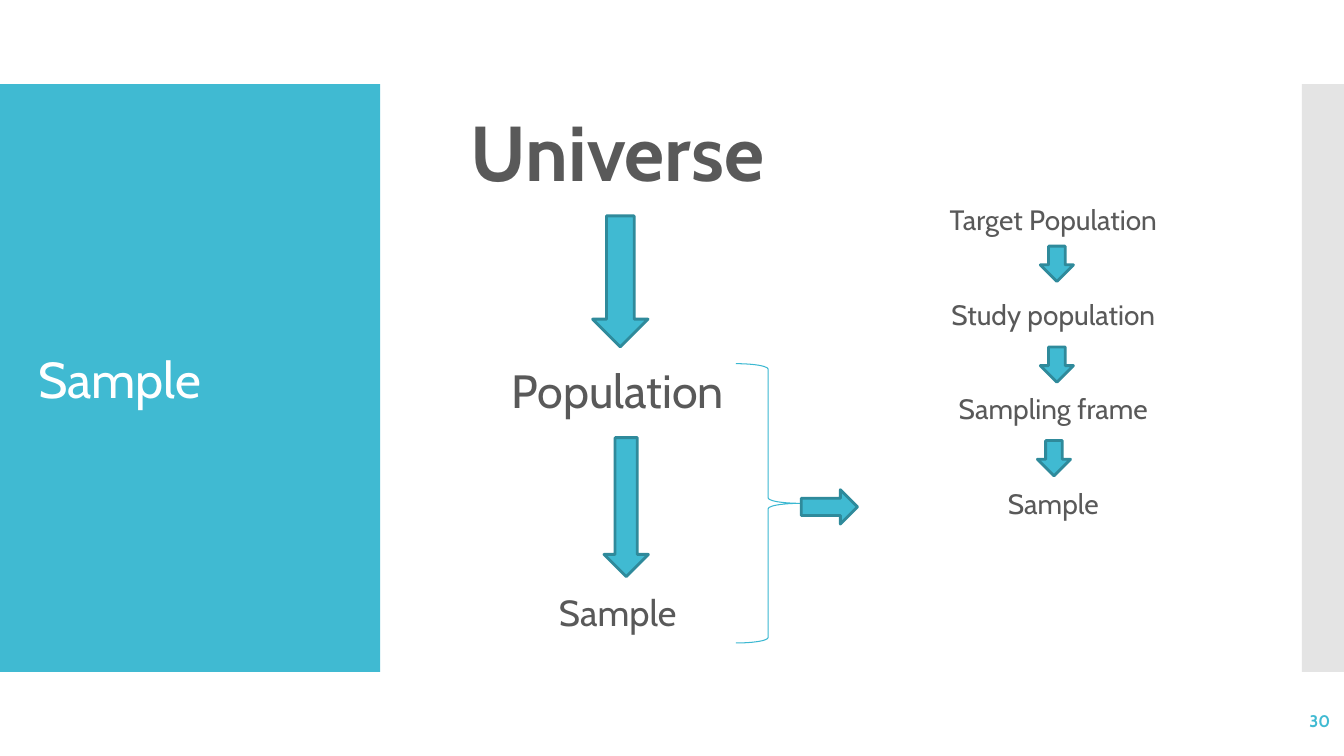
from pptx import Presentation
from pptx.dml.color import RGBColor
from pptx.enum.shapes import MSO_SHAPE as Preset
from pptx.enum.text import MSO_ANCHOR as Anchor, PP_ALIGN as Align
from pptx.oxml.ns import qn
from pptx.util import Inches, Pt
from lxml.etree import SubElement

UNIT = 7.5 / 18  # square grid: 32 columns by 18 rows
TEAL, DARK_TEAL, BRACE_TEAL = "40BAD2", "2F8A9B", "3BB8D1"
GREY, PALE, WHITE = "595959", "C8C8C8", "FFFFFF"


def rgb(code):
    return RGBColor.from_string(code)


class FlowSlide:
    font_name = "Cabin"

    def __init__(self, deck):
        self.slide = deck.slides.add_slide(deck.slide_layouts[6])

    def grid(self, *cells):
        return [Inches(cell * UNIT) for cell in cells]

    def shape(self, preset, box, fill=None, line=None, width=2, opacity=None):
        shape = self.slide.shapes.add_shape(preset, *self.grid(*box))
        shape.shadow.inherit = False
        if fill:
            shape.fill.solid()
            shape.fill.fore_color.rgb = rgb(fill)
        else:
            shape.fill.background()
        if opacity:
            color = shape.fill._xPr.find(".//" + qn("a:srgbClr"))
            SubElement(color, qn("a:alpha"), val=str(opacity * 1000))
        if line:
            shape.line.color.rgb = rgb(line)
            shape.line.width = Pt(width)
        else:
            shape.line.fill.background()

    def arrow(self, preset, *box):
        self.shape(preset, box, TEAL, DARK_TEAL)

    def text(self, words, left, middle, width, height, size,
             color=GREY, align=Align.CENTER, bold=False):
        box = self.slide.shapes.add_textbox(
            *self.grid(left, middle - height / 2, width, height))
        frame = box.text_frame
        frame.word_wrap = True
        frame.vertical_anchor = Anchor.MIDDLE
        paragraph = frame.paragraphs[0]
        paragraph.alignment = align
        run = paragraph.add_run()
        run.text = words
        style = {"name": self.font_name, "size": Pt(size), "bold": bold}
        for key, value in style.items():
            setattr(run.font, key, value)
        run.font.color.rgb = rgb(color)


def main():
    deck = Presentation()
    deck.slide_width, deck.slide_height = Inches(32 * UNIT), Inches(18 * UNIT)
    page = FlowSlide(deck)

    # Side panels, title and page number
    page.shape(Preset.RECTANGLE, (0, 2, 9.05, 14), TEAL)
    page.shape(Preset.RECTANGLE, (31, 2, 1, 14), PALE, opacity=49)
    page.text("Sample", 0.67, 9, 7.73, 12, 36, WHITE, Align.LEFT)
    page.text("30", 27.91, 17.16, 4, 0.96, 12, TEAL, Align.RIGHT, True)

    # Main flow from universe to sample
    for level, middle, size, bold in (("Universe", 3.58, 55.5, True),
                                      ("Population", 9.29, 33.3, False),
                                      ("Sample", 14.57, 25.9, False)):
        page.text(level, 10.15, middle, 9.12, 2.4, size, bold=bold)
    page.arrow(Preset.DOWN_ARROW, 14.11, 5.14, 1.32, 3.12)
    page.arrow(Preset.DOWN_ARROW, 14.38, 10.42, 1.06, 3.31)

    # Detailed flow from target population to sample
    stages = ("Target Population", "Study population", "Sampling frame", "Sample")
    for index, stage in enumerate(stages):
        page.text(stage, 20.52, 5.23 + index * 2.25, 9.12, 1.4, 20)
    for left, top in ((24.77, 5.86), (24.77, 8.26), (24.7, 10.49)):
        page.arrow(Preset.DOWN_ARROW, left, top, 0.79, 0.84)

    # Brace that leads to the detailed flow
    page.shape(Preset.RIGHT_BRACE, (17.52, 8.66, 1.54, 6.65),
               line=BRACE_TEAL, width=0.75)
    page.arrow(Preset.RIGHT_ARROW, 19.08, 11.66, 1.34, 0.82)

    deck.save("out.pptx")


if __name__ == "__main__":
    main()
